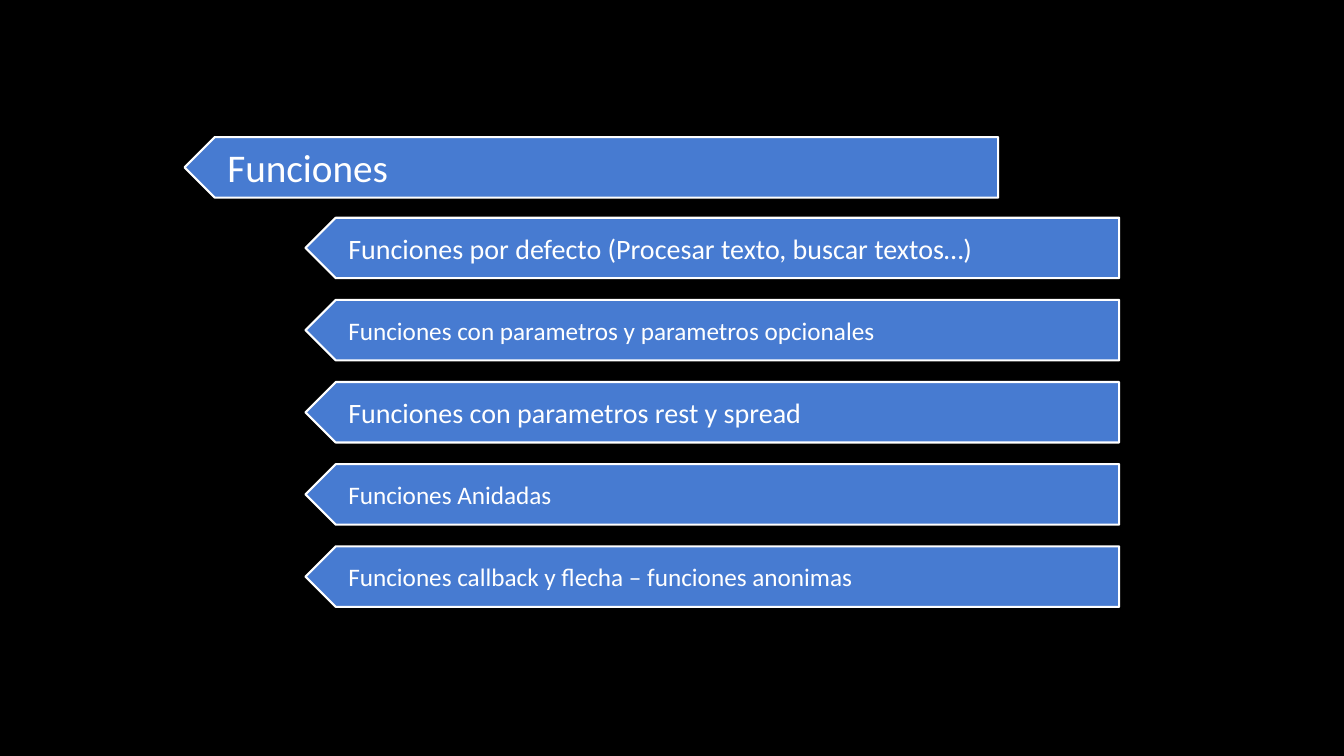
from pptx import Presentation
from pptx.dml.color import RGBColor
from pptx.enum.shapes import MSO_SHAPE as Shape
from pptx.enum.text import MSO_ANCHOR as Anchor, PP_ALIGN as Align
from pptx.util import Inches, Pt

COLORS = {"background": "000000", "banner": "477BD1", "white": "FFFFFF"}
FONT = "Calibri"
BANNER_WIDTH, BANNER_HEIGHT = 8.07, 0.6
LABEL_OFFSET = 0.155
TOPIC_LEFT, TOPIC_TOP, TOPIC_STEP = 3.03, 2.16, 0.815


def color(name):
    return RGBColor.from_string(COLORS[name])


def add_banner(slide, left, top, wording, size):
    group = slide.shapes.add_group_shape()

    # Pentagon turned to point left
    banner = group.shapes.add_shape(
        Shape.PENTAGON, Inches(left), Inches(top),
        Inches(BANNER_WIDTH), Inches(BANNER_HEIGHT))
    banner.rotation = 180
    banner.shadow.inherit = False
    banner.fill.solid()
    banner.fill.fore_color.rgb = color("banner")
    banner.line.color.rgb = color("white")
    banner.line.width = Pt(1.5)

    # Upright label over the banner
    label = group.shapes.add_textbox(
        Inches(left + LABEL_OFFSET), Inches(top),
        Inches(BANNER_WIDTH - LABEL_OFFSET), Inches(BANNER_HEIGHT))
    frame = label.text_frame
    frame.word_wrap = True
    frame.vertical_anchor = Anchor.MIDDLE
    frame.margin_left, frame.margin_right = Inches(0.27), Inches(0.19)
    frame.margin_top = frame.margin_bottom = Inches(0.1)
    paragraph = frame.paragraphs[0]
    paragraph.alignment = Align.LEFT
    run = paragraph.add_run()
    run.text = wording
    run.font.name = FONT
    run.font.size = Pt(size)
    run.font.color.rgb = color("white")


# Slide
deck = Presentation()
deck.slide_width, deck.slide_height = Inches(13.33), Inches(7.5)
slide = deck.slides.add_slide(deck.slide_layouts[6])
slide.background.fill.solid()
slide.background.fill.fore_color.rgb = color("background")

# Heading
add_banner(slide, 1.83, 1.36, "Funciones", 28)

# Topics
topics = [
    ("Funciones por defecto (Procesar texto, buscar textos…)", 20),
    ("Funciones con parametros y parametros opcionales", 18),
    ("Funciones con parametros rest y spread", 20),
    ("Funciones Anidadas", 18),
    ("Funciones callback y flecha – funciones anonimas", 18),
]
for row, (topic, size) in enumerate(topics):
    add_banner(slide, TOPIC_LEFT, TOPIC_TOP + row * TOPIC_STEP, topic, size)

deck.save("out.pptx")
